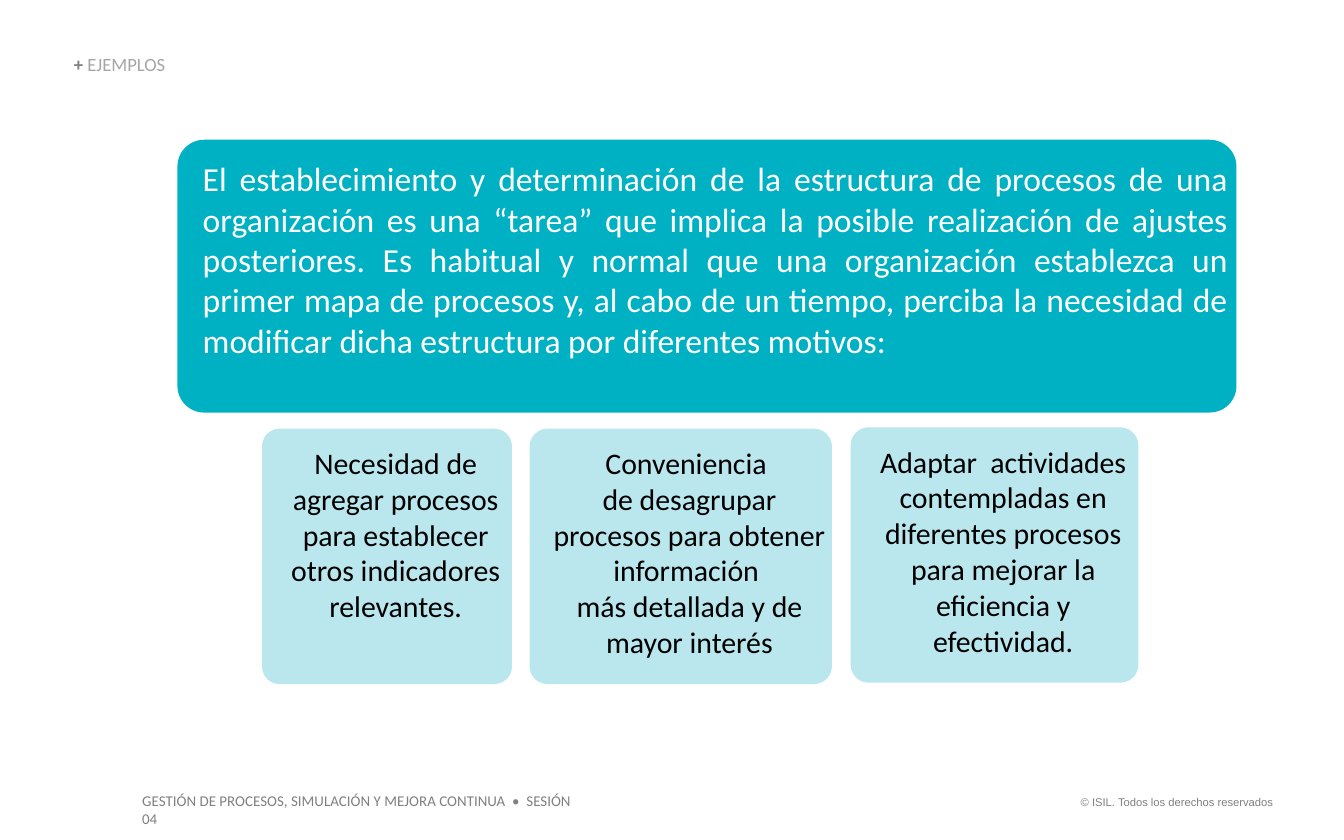
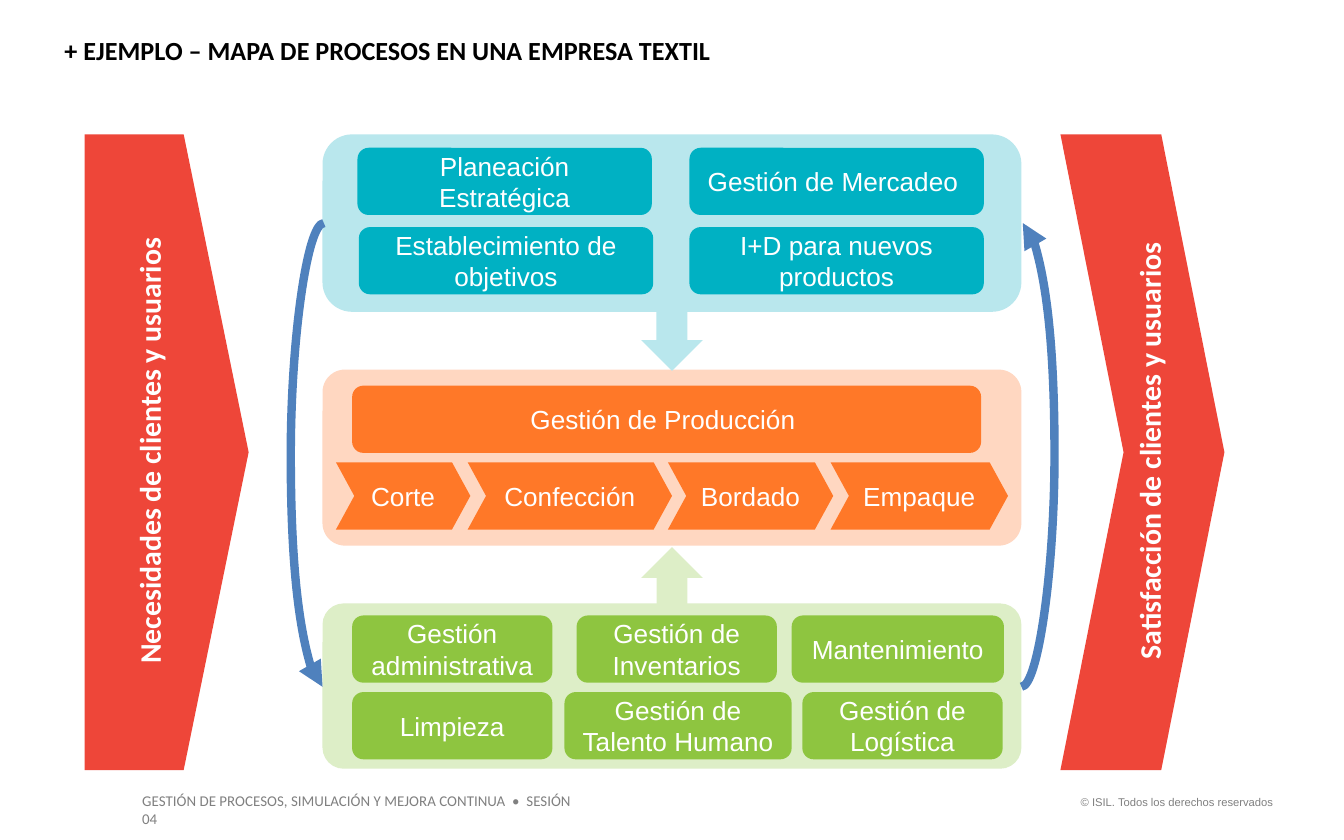
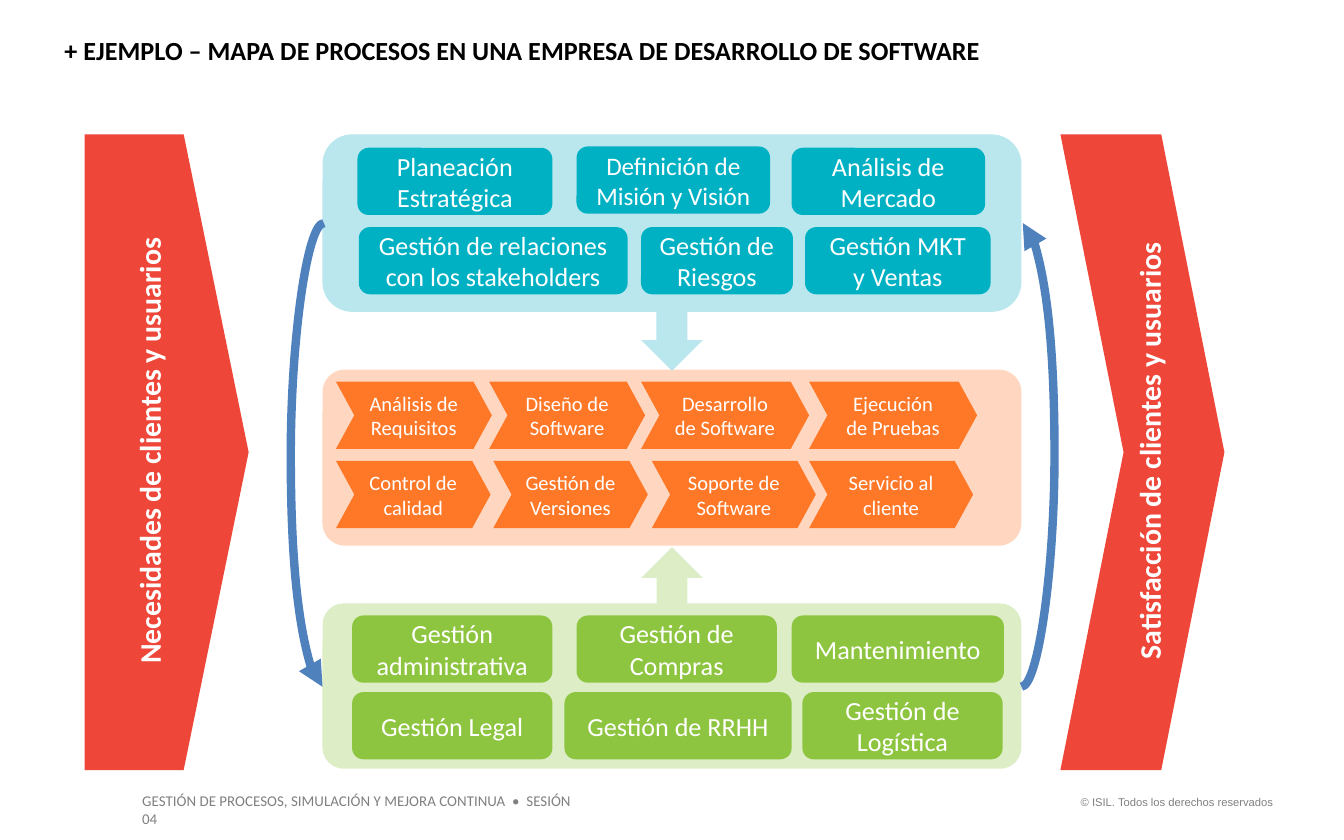
"""Build three slides on process maps, with examples from two companies."""
from lxml import etree
from pptx import Presentation
from pptx.dml.color import RGBColor
from pptx.enum import shapes, text
from pptx.oxml.ns import qn
from pptx.util import Inches, Pt

KIND = shapes.MSO_SHAPE
ALIGN = text.PP_ALIGN
ANCHOR = text.MSO_ANCHOR

TEAL = RGBColor(0x00, 0xB1, 0xC3)
AQUA = RGBColor(0xB9, 0xE7, 0xED)
ORANGE = RGBColor(0xFF, 0x78, 0x28)
PEACH = RGBColor(0xFF, 0xD7, 0xC1)
GREEN = RGBColor(0x8E, 0xC5, 0x40)
MINT = RGBColor(0xDD, 0xEE, 0xC7)
RED = RGBColor(0xEE, 0x46, 0x39)
BLUE = RGBColor(0x4F, 0x81, 0xBD)
GRAY = RGBColor(0x80, 0x80, 0x80)
SILVER = RGBColor(0xA6, 0xA6, 0xA6)
WHITE = RGBColor(0xFF, 0xFF, 0xFF)
BLACK = RGBColor(0x00, 0x00, 0x00)

SANS = "Calibri"
ARIAL = "Arial"
CELL = 0.5
BULGE = 0.25


def style(font, size, color, name=SANS, bold=False):
    """Set the look of a paragraph's or a run's font."""
    font.size, font.name, font.bold = Pt(size), name, bold
    font.color.rgb = color


def inset(frame, left=0, top=0):
    """Set the left and top margins of a frame, with none on the other sides."""
    frame.margin_left, frame.margin_top = Inches(left), Inches(top)
    frame.margin_right = frame.margin_bottom = 0


def write(frame, words, size, color, name=SANS, bold=False, align=ALIGN.CENTER):
    """Put one styled paragraph in a frame and return it."""
    frame.word_wrap = True
    para = frame.paragraphs[0]
    para.text = words
    para.alignment = align
    style(para.font, size, color, name, bold)
    return para


def block(slide, kind, box, fill, adj=None):
    """Add a flat filled shape without an outline."""
    shape = slide.shapes.add_shape(kind, *map(Inches, box))
    shape.shadow.inherit = False
    shape.fill.solid()
    shape.fill.fore_color.rgb = fill
    shape.line.fill.background()
    if adj is not None:
        shape.adjustments[0] = adj
    return shape


def label(slide, box):
    """Add a text box and return its shape."""
    return slide.shapes.add_textbox(*map(Inches, box))


def title(slide, box, words, size, color):
    """Add the slide title: a plus sign and the words."""
    frame = label(slide, box).text_frame
    inset(frame)
    frame.vertical_anchor = ANCHOR.BOTTOM
    frame.word_wrap = True
    para = frame.paragraphs[0]
    para.line_spacing = 0.9
    return para


def heading(slide, box, words, size, tones, bold):
    """Add a title whose plus sign is always bold."""
    para = title(slide, box, words, size, tones)
    for part, tone, heavy in zip(("+ ", words), tones, (True, bold)):
        run = para.add_run()
        run.text = part
        style(run.font, size, tone, bold=heavy)


def footer(slide):
    """Add the course name and the rights line."""
    write(label(slide, (0.96, 5.84, 3.53, 0.24)).text_frame,
          "GESTIÓN DE PROCESOS, SIMULACIÓN Y MEJORA CONTINUA  •  SESIÓN 04",
          8, GRAY, align=ALIGN.LEFT)
    write(label(slide, (7.68, 5.87, 1.89, 0.2)).text_frame,
          "© ISIL. Todos los derechos reservados", 6, GRAY, ARIAL, align=ALIGN.RIGHT)


def card(slide, box, adj, fill, words, size, color, align=ALIGN.CENTER):
    """Add a rounded card with text from the top."""
    frame = block(slide, KIND.ROUNDED_RECTANGLE, box, fill, adj).text_frame
    inset(frame, 0.04, 0.08)
    frame.vertical_anchor = ANCHOR.TOP
    para = write(frame, words, size, color, align=align)
    para._p.get_or_add_pPr().set("marL", str(Inches(0.09)))


def row(slide, top, fill, name, items, kind=KIND.ROUNDED_RECTANGLE, size=14):
    """Add a row of process cells, each given as left, width and words."""
    adj = 0.273 if kind == KIND.CHEVRON else None
    for left, width, words in items:
        cell = block(slide, kind, (left, top, width, CELL), fill, adj)
        cell.text_frame.vertical_anchor = ANCHOR.MIDDLE
        write(cell.text_frame, words, size, WHITE, name)


def banner(slide, kind, left, adj, mid, words):
    """Add a tall red arrow with text that reads upwards."""
    block(slide, kind, (left, 1, 1.22, 4.73), RED, adj)
    shape = label(slide, (mid - 2.05, 3.22, 4.1, 0.27))
    shape.rotation = 270
    inset(shape.text_frame)
    write(shape.text_frame, words, 16, WHITE, bold=True)


def loop(slide, start, end):
    """Add a thick curved arrow that bulges outwards from the bands."""
    line = slide.shapes.add_connector(
        shapes.MSO_CONNECTOR.CURVE, *map(Inches, start + end))
    line.line.color.rgb = BLUE
    line.line.width = Pt(4.5)
    props = line._element.spPr
    ratio = round(BULGE / abs(end[0] - start[0]) * 100000)
    guides = props.find(qn("a:prstGeom")).find(qn("a:avLst"))
    etree.SubElement(guides, qn("a:gd"), name="adj1", fmla=f"val {ratio}")
    etree.SubElement(props.find(qn("a:ln")), qn("a:tailEnd"), type="triangle")
    etree.SubElement(props, qn("a:effectLst"))


def board(slide, words):
    """Add what both process maps share: title, bands, banners and arrows."""
    heading(slide, (0.48, 0.28, 8.47, 0.21), words, 14, (BLACK, BLACK), True)
    for top, height, fill, adj in ((1, 1.32, AQUA, None), (2.75, 1.31, PEACH, 0.128),
                                   (4.49, 1.23, MINT, 0.128)):
        block(slide, KIND.ROUNDED_RECTANGLE, (2.4, top, 5.2, height), fill, adj)
    block(slide, KIND.DOWN_ARROW, (4.77, 2.25, 0.46, 0.51), AQUA)
    block(slide, KIND.DOWN_ARROW, (4.77, 4.07, 0.46, 0.51), MINT).rotation = 180
    banner(slide, KIND.PENTAGON, 0.63, 0.396, 1.11, "Necesidades de clientes y usuarios")
    banner(slide, KIND.CHEVRON, 7.89, 0.385, 8.55, "Satisfacción de clientes y usuarios")
    loop(slide, (7.6, 5.11), (7.61, 1.66))
    loop(slide, (2.41, 1.66), (2.4, 5.11))


def support(slide, name, stock, clean, staff):
    """Add the green support cells, three of which vary by company."""
    row(slide, 4.58, GREEN, name, (
        (2.62, 1.49, "Gestión administrativa"), (4.29, 1.49, stock),
        (5.89, 1.58, "Mantenimiento")))
    row(slide, 5.15, GREEN, name, (
        (2.62, 1.49, clean), (4.2, 1.69, staff), (5.97, 1.49, "Gestión de Logística")))


def reasons(slide):
    """Fill the slide on why a process structure changes."""
    heading(slide, (0.55, 0.41, 2.66, 0.15), "EJEMPLOS", 10, (GRAY, SILVER), False)
    card(slide, (1.32, 1.04, 7.88, 2.03), 0.098, TEAL,
         "El establecimiento y determinación de la estructura de procesos de una "
         "organización es una “tarea” que implica la posible realización de ajustes "
         "posteriores. Es habitual y normal que una organización establezca un primer "
         "mapa de procesos y, al cabo de un tiempo, perciba la necesidad de modificar "
         "dicha estructura por diferentes motivos:", 18, WHITE, ALIGN.JUSTIFY)
    for left, top, width, words in (
            (1.95, 3.19, 1.86,
             "Necesidad de agregar procesos para establecer otros indicadores relevantes."),
            (3.94, 3.19, 2.25,
             "Conveniencia \vde desagrupar procesos para obtener información "
             "\vmás detallada y de mayor interés"),
            (6.33, 3.18, 2.14,
             "Adaptar  actividades contempladas en diferentes procesos para mejorar "
             "la eficiencia y efectividad.")):
        card(slide, (left, top, width, 1.9), 0.07, AQUA, words, 16, BLACK)


def textile(slide):
    """Fill the process map of the textile company."""
    board(slide, "EJEMPLO – MAPA DE PROCESOS EN UNA EMPRESA TEXTIL")
    row(slide, 1.1, TEAL, ARIAL, (
        (2.66, 2.19, "Planeación Estratégica"), (5.13, 2.19, "Gestión de Mercadeo ")))
    row(slide, 1.69, TEAL, ARIAL, (
        (2.67, 2.19, "Establecimiento de objetivos"),
        (5.13, 2.19, "I+D para nuevos productos")))
    row(slide, 2.87, ORANGE, ARIAL, ((2.62, 4.68, "Gestión de Producción "),))
    row(slide, 3.44, ORANGE, ARIAL, (
        (2.5, 1, "Corte"), (3.48, 1.52, "Confección"), (4.97, 1.23, "Bordado"),
        (6.18, 1.32, "Empaque")), KIND.CHEVRON)
    support(slide, ARIAL, "Gestión de Inventarios", "Limpieza",
            "Gestión de Talento Humano")


def software(slide):
    """Fill the process map of the software company."""
    board(slide, "EJEMPLO – MAPA DE PROCESOS EN UNA EMPRESA DE DESARROLLO DE SOFTWARE")
    row(slide, 1.1, TEAL, SANS, (
        (2.66, 1.45, "Planeación Estratégica"), (5.89, 1.44, "Análisis de Mercado")))
    row(slide, 1.09, TEAL, SANS, ((4.29, 1.44, "Definición de Misión y Visión"),),
        size=13.5)
    row(slide, 1.69, TEAL, SANS, (
        (2.67, 2, "Gestión de relaciones con los stakeholders"),
        (4.77, 1.13, "Gestión de Riesgos"), (5.99, 1.38, "Gestión MKT y Ventas")))
    row(slide, 2.84, ORANGE, SANS, (
        (2.5, 1.16, "Análisis de Requisitos"), (3.64, 1.16, "Diseño de Software"),
        (4.77, 1.25, "Desarrollo de Software"), (6.02, 1.25, "Ejecución de Pruebas")),
        KIND.CHEVRON, 11)
    row(slide, 3.43, ORANGE, SANS, (
        (2.5, 1.15, "Control de calidad"), (3.67, 1.15, "Gestión de Versiones"),
        (4.85, 1.22, "Soporte de Software"), (6.02, 1.22, "Servicio al cliente")),
        KIND.CHEVRON, 11)
    support(slide, SANS, "Gestión de Compras", "Gestión Legal", "Gestión de RRHH")


def main():
    """Build the slides and save the file."""
    deck = Presentation()
    deck.slide_width, deck.slide_height = Inches(10), Inches(6.25)
    for fill in (reasons, textile, software):
        slide = deck.slides.add_slide(deck.slide_layouts[6])
        footer(slide)
        fill(slide)
    deck.save("out.pptx")


if __name__ == "__main__":
    main()
